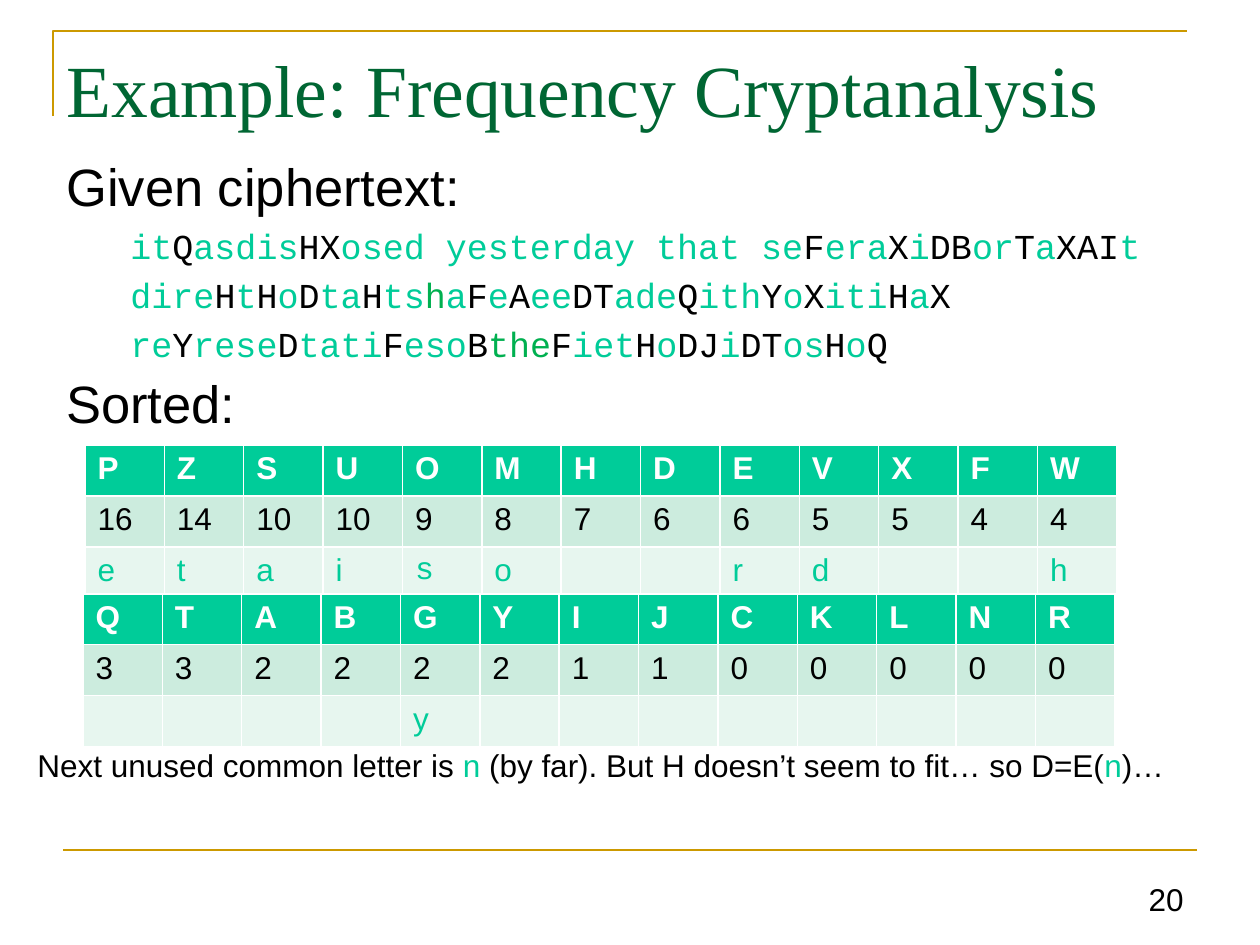
from dataclasses import dataclass
from itertools import groupby

from pptx import Presentation
from pptx.dml.color import RGBColor as Rgb
from pptx.enum.text import MSO_ANCHOR as Anchor, PP_ALIGN as Align
from pptx.oxml.ns import qn
from pptx.util import Emu, Pt

PX_PER_INCH = 126


def px(length: int) -> Emu:
    return Emu(round(length * 914400 / PX_PER_INCH))


@dataclass(frozen=True)
class Theme:
    black: str = "000000"
    white: str = "FFFFFF"
    title: str = "006633"
    accent: str = "00CC99"
    solved: str = "00B050"
    rule: str = "CC9900"
    row_fills: tuple = ("00CC99", "CCECDE", "E7F6EF")
    sans: str = "Arial"
    serif: str = "Times New Roman"
    mono: str = "Courier New"
    title_size: int = 42
    heading_size: int = 30
    cipher_size: int = 20
    text_size: int = 18


THEME = Theme()


@dataclass(frozen=True)
class Box:
    left: int
    top: int
    width: int
    height: int

    def emu(self) -> tuple:
        return px(self.left), px(self.top), px(self.width), px(self.height)


@dataclass(frozen=True)
class FrequencyTable:
    box: Box
    row_heights: tuple
    letters: str
    counts: tuple
    guesses: str  # one character per letter, a space where still unknown
    mono_guesses: str = ""


TABLES = (
    FrequencyTable(Box(85, 445, 1032, 153), (51, 51, 51), "PZSUOMHDEVXFW",
                   (16, 14, 10, 10, 9, 8, 7, 6, 6, 5, 5, 4, 4),
                   "etaiso  rd  h", mono_guesses="s"),
    FrequencyTable(Box(83, 594, 1032, 144), (42, 51, 51), "QTABGYIJCKLNR",
                   (3, 3, 2, 2, 2, 2, 1, 1, 0, 0, 0, 0, 0),
                   "    y        "),
)

# Text between bars is emphasised.
CIPHER_LINES = (
    "itQasdisHXosed yesterday that seFeraXiDBorTaXAIt",
    "direHtHoDtaHts|h|aFeAeeDTadeQithYoXitiHaX",
    "reYreseDtatiFesoB|the|FietHoDJiDTosHoQ",
)
NOTE = ("Next unused common letter is |n |(by far). "
        "But H doesn’t seem to fit… so D=E(|n|)…")


def style(font, size: int, color: str, name: str = THEME.sans, bold: bool = False) -> None:
    font.size, font.name, font.bold = Pt(size), name, bold
    font.color.rgb = Rgb.from_string(color)


def add_span(para, text: str, size: int, color: str, name: str = THEME.sans) -> None:
    span = para.add_run()
    span.text = text
    style(span.font, size, color, name)


def add_text_box(page, box: Box):
    frame = page.shapes.add_textbox(*box.emu()).text_frame
    frame.word_wrap = True
    return frame


def draw_rules(page) -> None:
    builder = page.shapes.build_freeform(px(53), px(116))
    builder.add_line_segments([(px(53), px(31)), (px(1187), px(31))], close=False)
    corner = builder.convert_to_shape()
    corner.fill.background()
    corner.shadow.inherit = False
    footer = page.shapes.add_connector(1, px(63), px(850), px(1197), px(850))
    properties = footer._element.spPr
    for rule in (corner, footer):
        rule.line.color.rgb = Rgb.from_string(THEME.rule)
        rule.line.width = Pt(1.5)
    properties.append(properties.makeelement(qn("a:effectLst"), {}))


def draw_title(page) -> None:
    title = page.shapes.title
    title.left, title.top, title.width, title.height = Box(54, 38, 1143, 189).emu()
    frame = title.text_frame
    frame.text = "Example: Frequency Cryptanalysis"
    frame.vertical_anchor = Anchor.TOP
    para = frame.paragraphs[0]
    para.alignment = Align.LEFT
    style(para.runs[0].font, THEME.title_size, THEME.title, THEME.serif)


def add_cipher_line(para, line: str) -> None:
    """Colour decrypted (lower-case) letters; capitals are still unsolved."""
    para._p.get_or_add_pPr().set("marL", str(px(64)))
    for index, part in enumerate(line.split("|")):
        known = THEME.solved if index % 2 else THEME.accent
        for unsolved, letters in groupby(part, str.isupper):
            add_span(para, "".join(letters), THEME.cipher_size,
                     THEME.black if unsolved else known, THEME.mono)


def draw_body(page) -> None:
    frame = add_text_box(page, Box(54, 155, 1187, 290))
    para = frame.paragraphs[0]
    add_span(para, "Given ciphertext:", THEME.heading_size, THEME.black)
    for line in CIPHER_LINES:
        add_cipher_line(frame.add_paragraph(), line)
    add_span(frame.add_paragraph(), "Sorted:", THEME.heading_size, THEME.black)
    for para in frame.paragraphs:
        para.line_spacing = 0.9
        para.space_before = Pt(6.5 if para.runs[0].font.name == THEME.mono else 7.5)


def draw_table(page, data: FrequencyTable) -> None:
    rows = (data.letters, data.counts, data.guesses)
    columns = len(data.letters)
    table = page.shapes.add_table(len(rows), columns, *data.box.emu()).table
    for column in table.columns:
        column.width = px(data.box.width) // columns
    text_colors = (THEME.white, THEME.black, THEME.accent)
    for r, values in enumerate(rows):
        table.rows[r].height = px(data.row_heights[r])
        for c, value in enumerate(values):
            cell = table.cell(r, c)
            cell.fill.solid()
            cell.fill.fore_color.rgb = Rgb.from_string(THEME.row_fills[r])
            cell.text = str(value).strip()
            name = THEME.mono if r == 2 and value in data.mono_guesses else THEME.sans
            style(cell.text_frame.paragraphs[0].font, THEME.text_size,
                  text_colors[r], name, bold=r == 0)
            for span in cell.text_frame.paragraphs[0].runs:
                style(span.font, THEME.text_size, text_colors[r], name, bold=r == 0)


def draw_note(page) -> None:
    para = add_text_box(page, Box(25, 740, 1173, 51)).paragraphs[0]
    for index, part in enumerate(NOTE.split("|")):
        add_span(para, part, THEME.text_size,
                 THEME.accent if index % 2 else THEME.black)


def draw_page_number(page) -> None:
    frame = add_text_box(page, Box(1129, 862, 67, 62))
    frame.vertical_anchor = Anchor.BOTTOM
    para = frame.paragraphs[0]
    para.alignment = Align.RIGHT
    add_span(para, "20", THEME.text_size, THEME.black)


def main() -> None:
    deck = Presentation()
    deck.slide_width, deck.slide_height = px(1260), px(945)
    page = deck.slides.add_slide(deck.slide_layouts[5])
    draw_rules(page)
    draw_title(page)
    draw_body(page)
    for data in TABLES:
        draw_table(page, data)
    draw_note(page)
    draw_page_number(page)
    deck.save("out.pptx")


if __name__ == "__main__":
    main()
